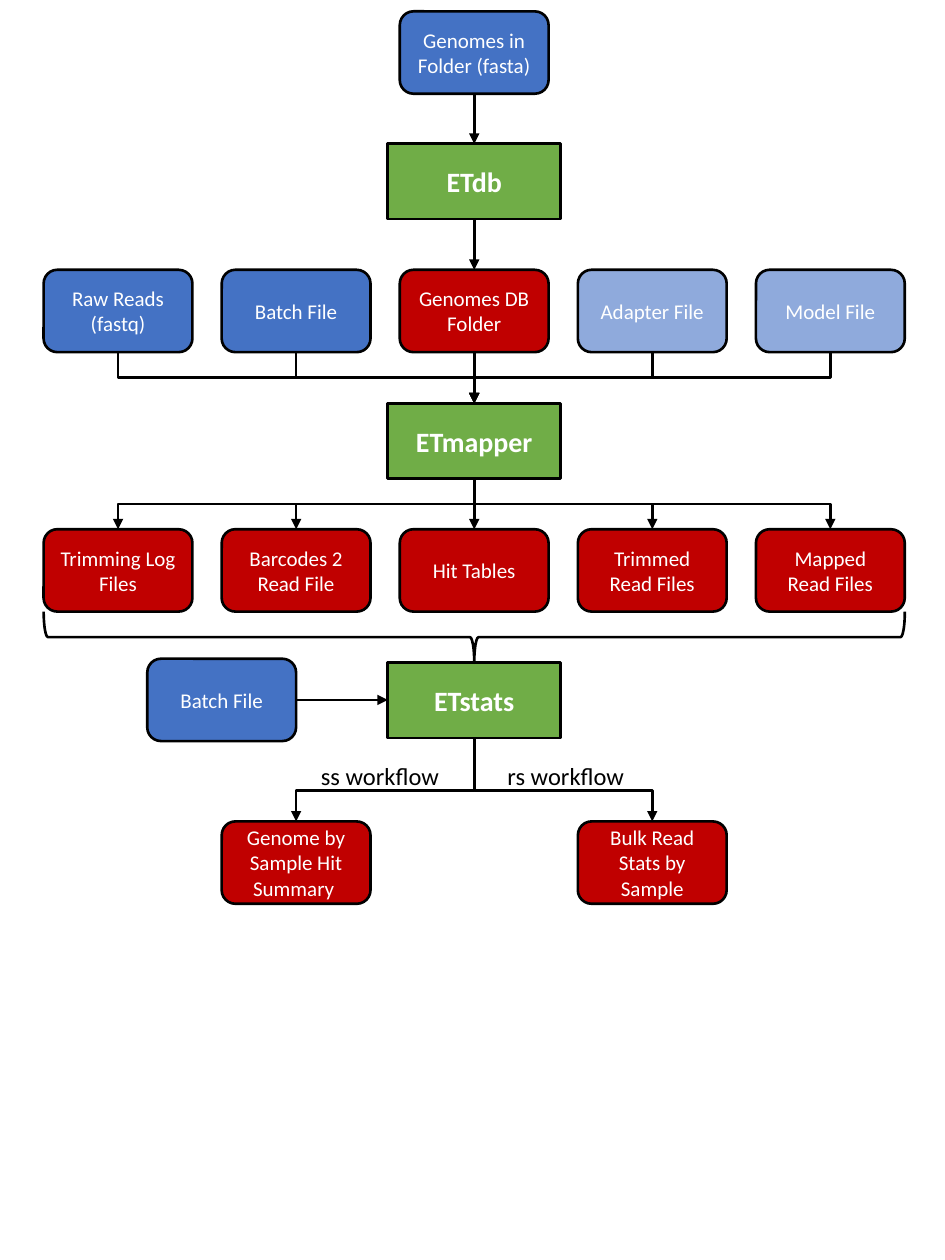
from lxml.etree import SubElement
from pptx import Presentation
from pptx.dml.color import RGBColor
from pptx.enum.shapes import MSO_CONNECTOR as Link, MSO_SHAPE as Shape
from pptx.enum.text import MSO_ANCHOR as Anchor, MSO_AUTO_SIZE as AutoSize, PP_ALIGN as Align
from pptx.oxml.ns import qn
from pptx.util import Cm, Pt

BLACK = RGBColor(0x00, 0x00, 0x00)
WHITE = RGBColor(0xFF, 0xFF, 0xFF)
GREEN = RGBColor(0x70, 0xAD, 0x47)
BLUE = RGBColor(0x44, 0x72, 0xC4)
PALE_BLUE = RGBColor(0x8F, 0xAA, 0xDC)
RED = RGBColor(0xC0, 0x00, 0x00)

# All lengths are in centimetres.
PITCH, MIDDLE = 3.59, 9.56
COLUMNS = [MIDDLE + PITCH * step for step in range(-2, 3)]
FILE_WIDTH, FILE_HEIGHT = 3, 1.66
STAGE_WIDTH, STAGE_HEIGHT = 3.49, 1.52
GENOMES_TOP, INPUT_TOP, OUTPUT_TOP, SUMMARY_TOP = 0.23, 5.44, 10.67, 16.56
DB_TOP, MAPPER_TOP, STATS_TOP = 2.9, 8.13, 13.36
BATCH_CENTER, BATCH_TOP = 4.47, 13.28


class Flowchart:
    """Hold the style and the slide of a flowchart."""

    line_width = Pt(1.5)
    file_font = {"name": "Calibri", "size": Pt(12), "bold": False}
    stage_font = {"name": "Calibri", "size": Pt(16), "bold": True}
    label_font = {"name": "Calibri", "size": Pt(14), "bold": False}

    def __init__(self, page):
        """Draw on the given page."""
        self.page = page

    def put_text(self, box, text, font, color, **frame_format):
        """Put one formatted paragraph into a box and return it."""
        frame = box.text_frame
        for name, value in frame_format.items():
            setattr(frame, name, value)
        para = frame.paragraphs[0]
        span = para.add_run()
        span.text = text
        for name, value in font.items():
            setattr(span.font, name, value)
        span.font.color.rgb = color
        return para

    def outline(self, item):
        """Give a shape or connector the black line."""
        item.line.color.rgb = BLACK
        item.line.width = self.line_width

    def block(self, kind, center, top, width, height, text, fill, font):
        """Add a filled shape with centred text."""
        box = self.page.shapes.add_shape(
            kind, Cm(center - width / 2), Cm(top), Cm(width), Cm(height))
        box.shadow.inherit = False
        box.fill.solid()
        box.fill.fore_color.rgb = fill
        self.outline(box)
        para = self.put_text(box, text, font, WHITE, word_wrap=True,
                             vertical_anchor=Anchor.MIDDLE)
        para.alignment = Align.CENTER

    def file(self, center, top, text, fill):
        """Add a rounded box for a file or folder."""
        self.block(Shape.ROUNDED_RECTANGLE, center, top, FILE_WIDTH,
                   FILE_HEIGHT, text, fill, self.file_font)

    def stage(self, top, text):
        """Add a green box for a program."""
        self.block(Shape.RECTANGLE, MIDDLE, top, STAGE_WIDTH, STAGE_HEIGHT,
                   text, GREEN, self.stage_font)

    def label(self, left, top, text):
        """Add an unwrapped label."""
        box = self.page.shapes.add_textbox(Cm(left), Cm(top), Cm(2.92), Cm(0.86))
        self.put_text(box, text, self.label_font, BLACK, word_wrap=False,
                      auto_size=AutoSize.SHAPE_TO_FIT_TEXT)

    def arrow(self, x1, y1, x2, y2, kind=Link.STRAIGHT):
        """Add a line with a triangle at its end."""
        link = self.page.shapes.add_connector(kind, Cm(x1), Cm(y1), Cm(x2), Cm(y2))
        self.outline(link)
        properties = link._element.spPr
        SubElement(properties.find(qn("a:ln")), qn("a:tailEnd"), type="triangle")
        SubElement(properties, qn("a:effectLst"))
        return link

    def elbow(self, x1, y1, x2, y2, bend=0.5):
        """Add an arrow that runs down, across and down again."""
        if x1 == x2:
            self.arrow(x1, y1, x2, y2)
            return
        x, y = (x1 + x2) / 2, (y1 + y2) / 2
        half_drop, half_run = (y2 - y1) / 2, abs(x2 - x1) / 2
        link = self.arrow(x - half_drop, y - half_run,
                          x + half_drop, y + half_run, Link.ELBOW)
        properties = link._element.spPr
        frame = properties.find(qn("a:xfrm"))
        frame.set("rot", str((90 if x2 < x1 else 270) * 60000))
        if x2 > x1:
            frame.set("flipH", "1")
        guides = properties.find(qn("a:prstGeom")).get_or_add_avLst()
        SubElement(guides, qn("a:gd"), name="adj1", fmla=f"val {round(bend * 100000)}")

    def brace(self, center, top, width, height):
        """Add a brace that opens upwards."""
        brace = self.page.shapes.add_shape(
            Shape.RIGHT_BRACE, Cm(center - height / 2),
            Cm(top + height / 2 - width / 2), Cm(height), Cm(width))
        brace.rotation = 90
        brace.shadow.inherit = False
        brace.fill.background()
        self.outline(brace)


deck = Presentation()
deck.slide_width, deck.slide_height = Cm(19.05), Cm(25.4)
chart = Flowchart(deck.slides.add_slide(deck.slide_layouts[6]))

for top, name in ((DB_TOP, "ETdb"), (MAPPER_TOP, "ETmapper"), (STATS_TOP, "ETstats")):
    chart.stage(top, name)

inputs = (("Raw Reads (fastq)", BLUE), ("Batch File", BLUE), ("Genomes DB Folder", RED),
          ("Adapter File", PALE_BLUE), ("Model File", PALE_BLUE))
outputs = ("Trimming Log Files", "Barcodes 2 Read File", "Hit Tables",
           "Trimmed Read Files", "Mapped Read Files")
for center, (source, fill), result in zip(COLUMNS, inputs, outputs):
    chart.file(center, INPUT_TOP, source, fill)
    chart.elbow(center, INPUT_TOP + FILE_HEIGHT, MIDDLE, MAPPER_TOP)
    chart.file(center, OUTPUT_TOP, result, RED)
    chart.elbow(MIDDLE, MAPPER_TOP + STAGE_HEIGHT, center, OUTPUT_TOP)

chart.file(MIDDLE, GENOMES_TOP, "Genomes in Folder (fasta)", BLUE)
chart.arrow(MIDDLE, GENOMES_TOP + FILE_HEIGHT, MIDDLE, DB_TOP)
chart.arrow(MIDDLE, DB_TOP + STAGE_HEIGHT, MIDDLE, INPUT_TOP)

brace_top = OUTPUT_TOP + FILE_HEIGHT
chart.brace(MIDDLE, brace_top, 4 * PITCH + FILE_WIDTH, STATS_TOP - brace_top)
chart.file(BATCH_CENTER, BATCH_TOP, "Batch File", BLUE)
batch_middle = BATCH_TOP + FILE_HEIGHT / 2
chart.arrow(BATCH_CENTER + FILE_WIDTH / 2, batch_middle,
            MIDDLE - STAGE_WIDTH / 2, batch_middle)

summaries = ((COLUMNS[1], "Genome by Sample Hit Summary ", 6.22, "ss workflow"),
             (COLUMNS[3], "Bulk Read Stats by Sample", 9.98, "rs workflow"))
for center, summary, label_left, workflow in summaries:
    chart.file(center, SUMMARY_TOP, summary, RED)
    chart.elbow(MIDDLE, STATS_TOP + STAGE_HEIGHT, center, SUMMARY_TOP, bend=0.63)
    chart.label(label_left, 15.21, workflow)

deck.save("out.pptx")
